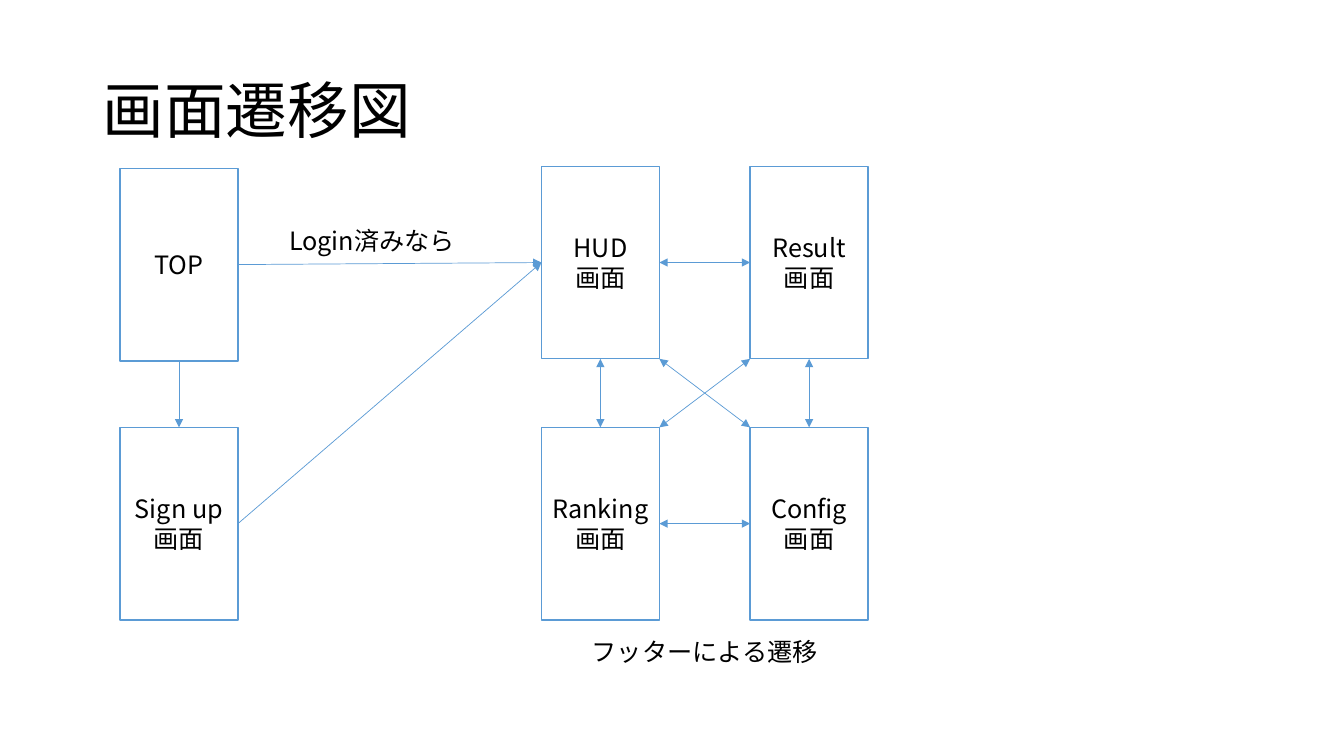
import pptx
import pptx.dml.color
import pptx.enum.shapes
import pptx.enum.text
import pptx.oxml.ns
import pptx.util
from lxml import etree

Inches = pptx.util.Inches
Pt = pptx.util.Pt
ALIGN = pptx.enum.text.PP_ALIGN
FONT = "Noto Sans CJK JP"
BLUE = "5B9BD5"
BOX_W, BOX_H = 1.17, 1.91
SITES = ["top", "left", "bottom", "right"]
ANCHORS = {
    "top": (0.5, 0), "left": (0, 0.5), "bottom": (0.5, 1), "right": (1, 0.5),
    "top left": (0, 0), "top right": (1, 0),
    "bottom left": (0, 1), "bottom right": (1, 1),
}
SCREENS = {
    "TOP": (1.19, 1.67, ["TOP"]),
    "HUD": (5.37, 1.65, ["HUD", "画面"]),
    "Result": (7.44, 1.65, ["Result", "画面"]),
    "Config": (7.44, 4.24, ["Config", "画面"]),
    "Ranking": (5.37, 4.24, ["Ranking", "画面"]),
    "Sign up": (1.19, 4.24, ["Sign up", "画面"]),
}
TRANSITIONS = [
    ("TOP", "right", "HUD", "left", False),
    ("TOP", "bottom", "Sign up", "top", False),
    ("Sign up", "right", "HUD", "left", False),
    ("HUD", "right", "Result", "left", True),
    ("Result", "bottom", "Config", "top", True),
    ("Config", "left", "Ranking", "right", True),
    ("HUD", "bottom", "Ranking", "top", True),
    ("HUD", "bottom right", "Config", "top left", True),
    ("Result", "bottom left", "Ranking", "top right", True),
]


def color(value):
    return pptx.dml.color.RGBColor.from_string(value)


def add_xml(parent, tag, **attrs):
    return etree.SubElement(parent, pptx.oxml.ns.qn(tag), attrs)


def write(sp, lines, size=18, align=ALIGN.CENTER, spacing=None):
    tf = sp.text_frame
    tf.word_wrap = True
    tf.vertical_anchor = pptx.enum.text.MSO_ANCHOR.MIDDLE
    for i, line in enumerate(lines):
        p = tf.paragraphs[0] if i == 0 else tf.add_paragraph()
        p.alignment = align
        p.line_spacing = spacing
        r = p.add_run()
        r.text = line
        r.font.size = Pt(size)
        r.font.color.rgb = color("000000")
        r.font.name = FONT
        add_xml(r.font._element, "a:ea", typeface=FONT)


def add_text(s, x, y, w, h, text, **style):
    sp = s.shapes.add_textbox(Inches(x), Inches(y), Inches(w), Inches(h))
    write(sp, [text], **style)


def add_screen(s, x, y, lines):
    sp = s.shapes.add_shape(pptx.enum.shapes.MSO_SHAPE.RECTANGLE,
                            Inches(x), Inches(y), Inches(BOX_W), Inches(BOX_H))
    sp.shadow.inherit = False
    sp.fill.solid()
    sp.fill.fore_color.rgb = color("FFFFFF")
    sp.line.color.rgb = color(BLUE)
    sp.line.width = Pt(1)
    sp.text_frame.margin_left = sp.text_frame.margin_right = Inches(0.05)
    write(sp, lines)
    return sp


def anchor_point(sp, anchor):
    fx, fy = ANCHORS[anchor]
    return int(sp.left + fx * sp.width), int(sp.top + fy * sp.height)


def add_arrow(s, start, start_at, end, end_at, both_ways):
    line = s.shapes.add_connector(pptx.enum.shapes.MSO_CONNECTOR.STRAIGHT,
                                  *anchor_point(start, start_at),
                                  *anchor_point(end, end_at))
    if start_at in SITES:
        line.begin_connect(start, SITES.index(start_at))
        line.end_connect(end, SITES.index(end_at))
    line.line.color.rgb = color(BLUE)
    line.line.width = Pt(0.5)
    ln = line.line._get_or_add_ln()
    if both_ways:
        add_xml(ln, "a:headEnd", type="triangle")
    add_xml(ln, "a:tailEnd", type="triangle")
    add_xml(line._element.spPr, "a:effectLst")


def main():
    prs = pptx.Presentation()
    prs.slide_width, prs.slide_height = Inches(13.33), Inches(7.5)
    s = prs.slides.add_slide(prs.slide_layouts[6])
    add_text(s, 0.92, 0.4, 11.5, 1.45, "画面遷移図",
             size=44, align=ALIGN.LEFT, spacing=0.9)
    screens = {name: add_screen(s, *screen) for name, screen in SCREENS.items()}
    for start, start_at, end, end_at, both_ways in TRANSITIONS:
        add_arrow(s, screens[start], start_at, screens[end], end_at, both_ways)
    add_text(s, 2.73, 2.17, 1.92, 0.43, "Login済みなら")
    add_text(s, 5.66, 6.25, 2.66, 0.42, "フッターによる遷移")
    prs.save("out.pptx")


main()
